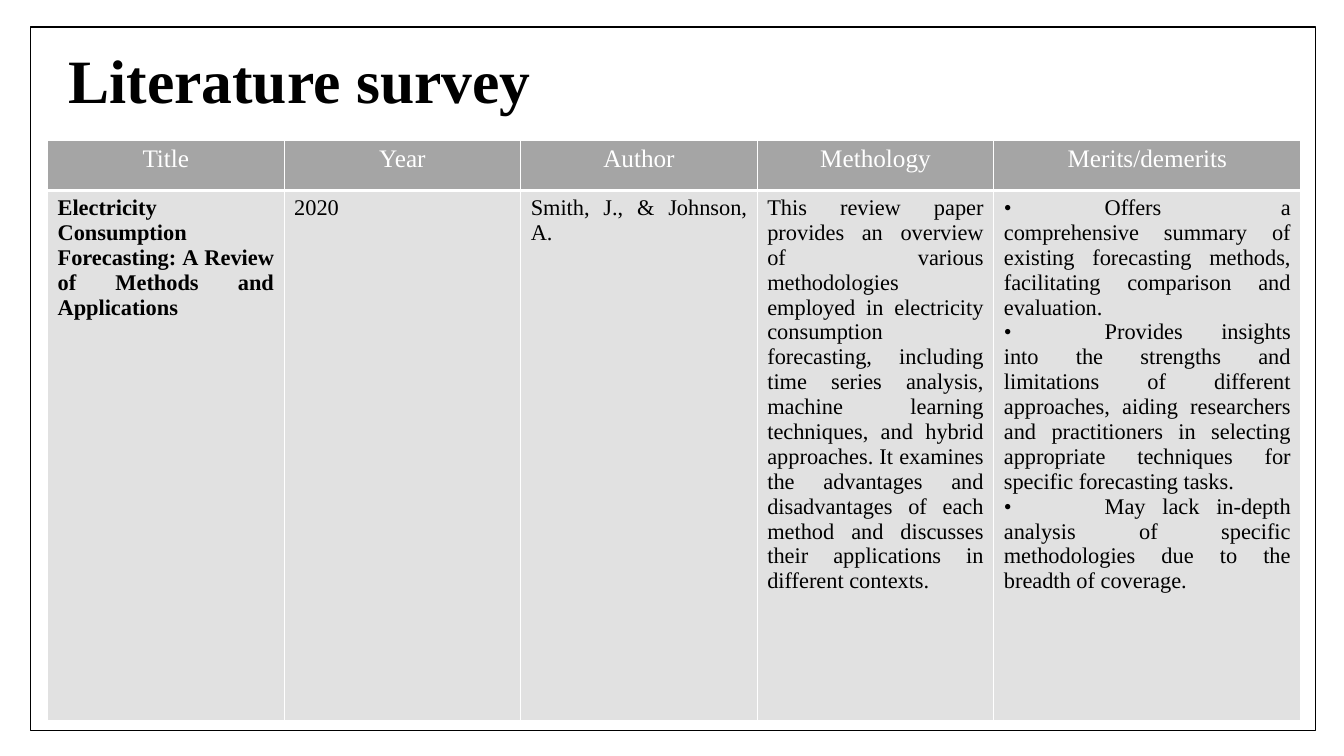
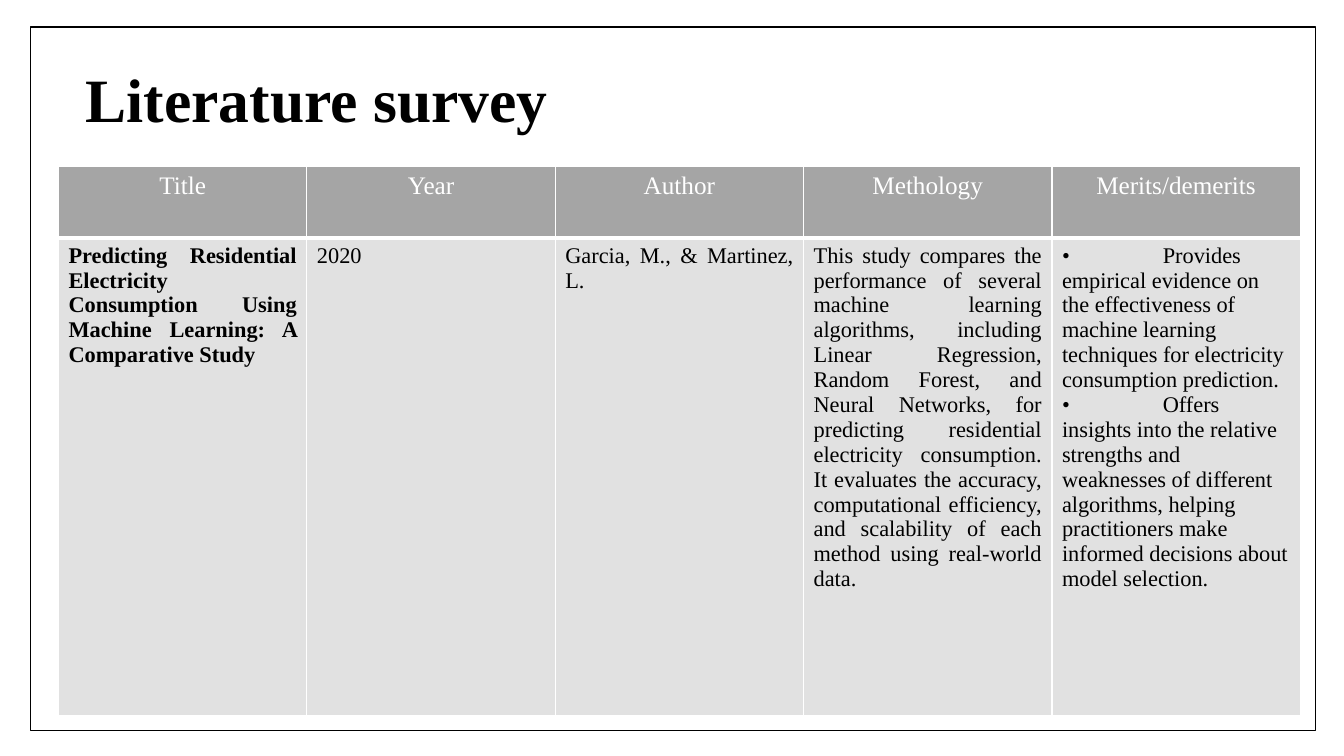
from dataclasses import dataclass

from lxml import etree
from pptx import Presentation
from pptx.dml.color import RGBColor
from pptx.enum.shapes import MSO_SHAPE
from pptx.enum.text import MSO_ANCHOR, PP_ALIGN
from pptx.oxml.ns import qn
from pptx.util import Pt

RECT = MSO_SHAPE.RECTANGLE
MIDDLE = MSO_ANCHOR.MIDDLE
LEFT, CENTER, JUSTIFY = PP_ALIGN.LEFT, PP_ALIGN.CENTER, PP_ALIGN.JUSTIFY

Box = tuple[float, float, float, float]


# Theme
@dataclass(frozen=True)
class Theme:
    font: str = "Times New Roman"
    ink: str = "000000"
    white: str = "FFFFFF"
    header_fill: str = "A5A5A5"
    body_fill: str = "E1E1E1"
    title_size: float = 44
    header_size: float = 18
    body_size: float = 16
    rule: float = 1
    header_rule: float = 3
    bullet_tab: float = 72


T = Theme()
SLIDE_W, SLIDE_H = 960, 540
FRAME: Box = (21.6, 19.4, 918, 502.6)
TITLE = "Literature survey"
HEADERS = ("Title", "Year", "Author", "Methology", "Merits/demerits")


@dataclass(frozen=True)
class Survey:
    title_box: Box
    table_at: tuple[float, float]
    col_widths: list[float]
    row_heights: tuple[float, float]
    paper: str
    year: str
    author: str
    method: str
    merits: tuple[str, ...]
    merits_align: PP_ALIGN


SURVEYS = (
    Survey(
        (41.8, 28.8, 883.4, 61.2), (34, 100.1), [169] * 4 + [219.4], (36, 378.4),
        "Electricity Consumption Forecasting: A Review of Methods and Applications",
        "2020",
        "Smith, J., & Johnson, A.",
        "This review paper provides an overview of various methodologies employed in "
        "electricity consumption forecasting, including time series analysis, machine "
        "learning techniques, and hybrid approaches. It examines the advantages and "
        "disadvantages of each method and discusses their applications in different "
        "contexts.",
        ("Offers a comprehensive summary of existing forecasting methods, facilitating "
         "comparison and evaluation.",
         "Provides insights into the strengths and limitations of different approaches, "
         "aiding researchers and practitioners in selecting appropriate techniques for "
         "specific forecasting tasks.",
         "May lack in-depth analysis of specific methodologies due to the breadth of "
         "coverage."),
        JUSTIFY,
    ),
    Survey(
        (54, 28.1, 852.5, 90.7), (41.8, 119.1), [177.4] * 5, (51, 340.7),
        "Predicting Residential Electricity Consumption Using Machine Learning: "
        "A Comparative Study",
        "2020",
        "Garcia, M., & Martinez, L.",
        "This study compares the performance of several machine learning algorithms, "
        "including Linear Regression, Random Forest, and Neural Networks, for predicting "
        "residential electricity consumption. It evaluates the accuracy, computational "
        "efficiency, and scalability of each method using real-world data.",
        ("Provides empirical evidence on the effectiveness of machine learning "
         "techniques for electricity consumption prediction.",
         "Offers insights into the relative strengths and weaknesses of different "
         "algorithms, helping practitioners make informed decisions about model "
         "selection."),
        LEFT,
    ),
)


# Text
def write(p, text: str, size: float, color: str, bold: bool = False,
          align: PP_ALIGN = LEFT) -> None:
    p.alignment = align
    r = p.add_run()
    r.text = text
    for name, value in {"name": T.font, "size": Pt(size), "bold": bold}.items():
        setattr(r.font, name, value)
    r.font.color.rgb = RGBColor.from_string(color)


def add_tab_stop(p) -> None:
    tabs = etree.SubElement(p._p.get_or_add_pPr(), qn("a:tabLst"))
    etree.SubElement(tabs, qn("a:tab"), pos=str(Pt(T.bullet_tab)), algn="l")


# Table cells
def style_cell(cell, fill: str, bottom: float = T.rule) -> None:
    tcPr = cell._tc.get_or_add_tcPr()
    for side in "LRTB":
        width = bottom if side == "B" else T.rule
        ln = etree.SubElement(tcPr, qn(f"a:ln{side}"), w=str(Pt(width)))
        solid = etree.SubElement(ln, qn("a:solidFill"))
        etree.SubElement(solid, qn("a:srgbClr"), val=T.white)
    cell.fill.solid()
    cell.fill.fore_color.rgb = RGBColor.from_string(fill)


def fill_body(cell, lines: tuple[str, ...], bold: bool, align: PP_ALIGN) -> None:
    tf = cell.text_frame
    for i, line in enumerate(lines):
        p = tf.add_paragraph() if i else tf.paragraphs[0]
        write(p, line, T.body_size, T.ink, bold, align)
        if "\t" in line:
            add_tab_stop(p)


# Slide parts
def add_title(s, box: Box) -> None:
    tf = s.shapes.add_textbox(*map(Pt, box)).text_frame
    tf.word_wrap = True
    tf.vertical_anchor = MIDDLE
    p = tf.paragraphs[0]
    p.line_spacing = 0.9
    write(p, TITLE, T.title_size, T.ink, bold=True)


def add_survey_table(s, survey: Survey) -> None:
    size = sum(survey.col_widths), sum(survey.row_heights)
    table = s.shapes.add_table(2, len(HEADERS),
                               *map(Pt, survey.table_at + size)).table
    for col, width in zip(table.columns, survey.col_widths):
        col.width = Pt(width)
    for row, height in zip(table.rows, survey.row_heights):
        row.height = Pt(height)

    merits = tuple(f"•\t{merit}" for merit in survey.merits)
    body = ((survey.paper,), (survey.year,), (survey.author,), (survey.method,), merits)
    for c, (header, lines) in enumerate(zip(HEADERS, body)):
        head_cell, body_cell = table.cell(0, c), table.cell(1, c)
        style_cell(head_cell, T.header_fill, T.header_rule)
        write(head_cell.text_frame.paragraphs[0], header, T.header_size, T.white,
              align=CENTER)
        style_cell(body_cell, T.body_fill)
        align = survey.merits_align if lines is merits else JUSTIFY
        fill_body(body_cell, lines, c == 0, align)


def add_frame(s) -> None:
    sp = s.shapes.add_shape(RECT, *map(Pt, FRAME))
    sp.shadow.inherit = False
    sp.fill.background()
    sp.line.color.rgb = RGBColor.from_string(T.ink)
    sp.line.width = Pt(T.rule)


def main() -> None:
    prs = Presentation()
    prs.slide_width, prs.slide_height = Pt(SLIDE_W), Pt(SLIDE_H)
    blank = prs.slide_layouts[6]
    for survey in SURVEYS:
        s = prs.slides.add_slide(blank)
        add_title(s, survey.title_box)
        add_survey_table(s, survey)
        add_frame(s)
    prs.save("out.pptx")


if __name__ == "__main__":
    main()
